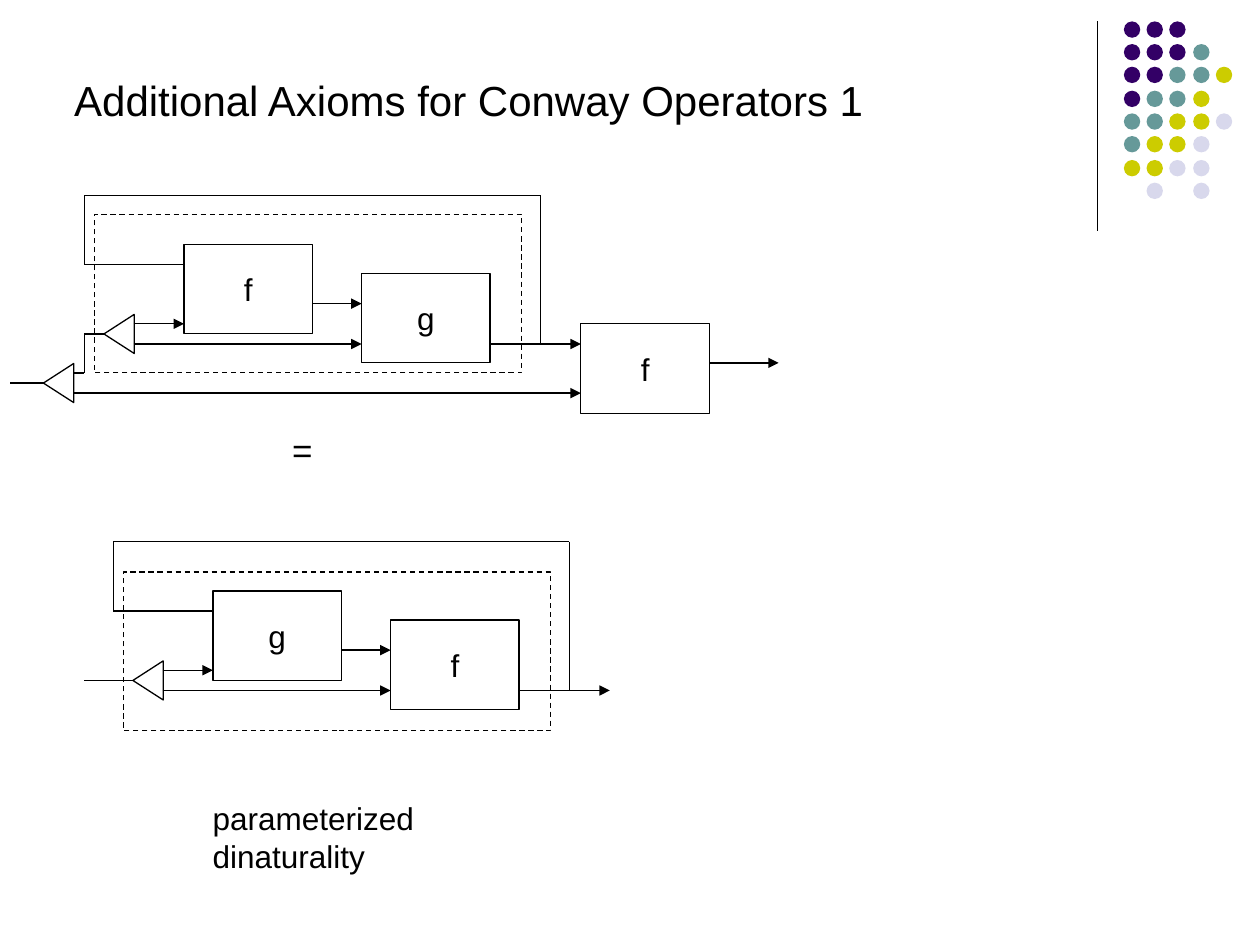
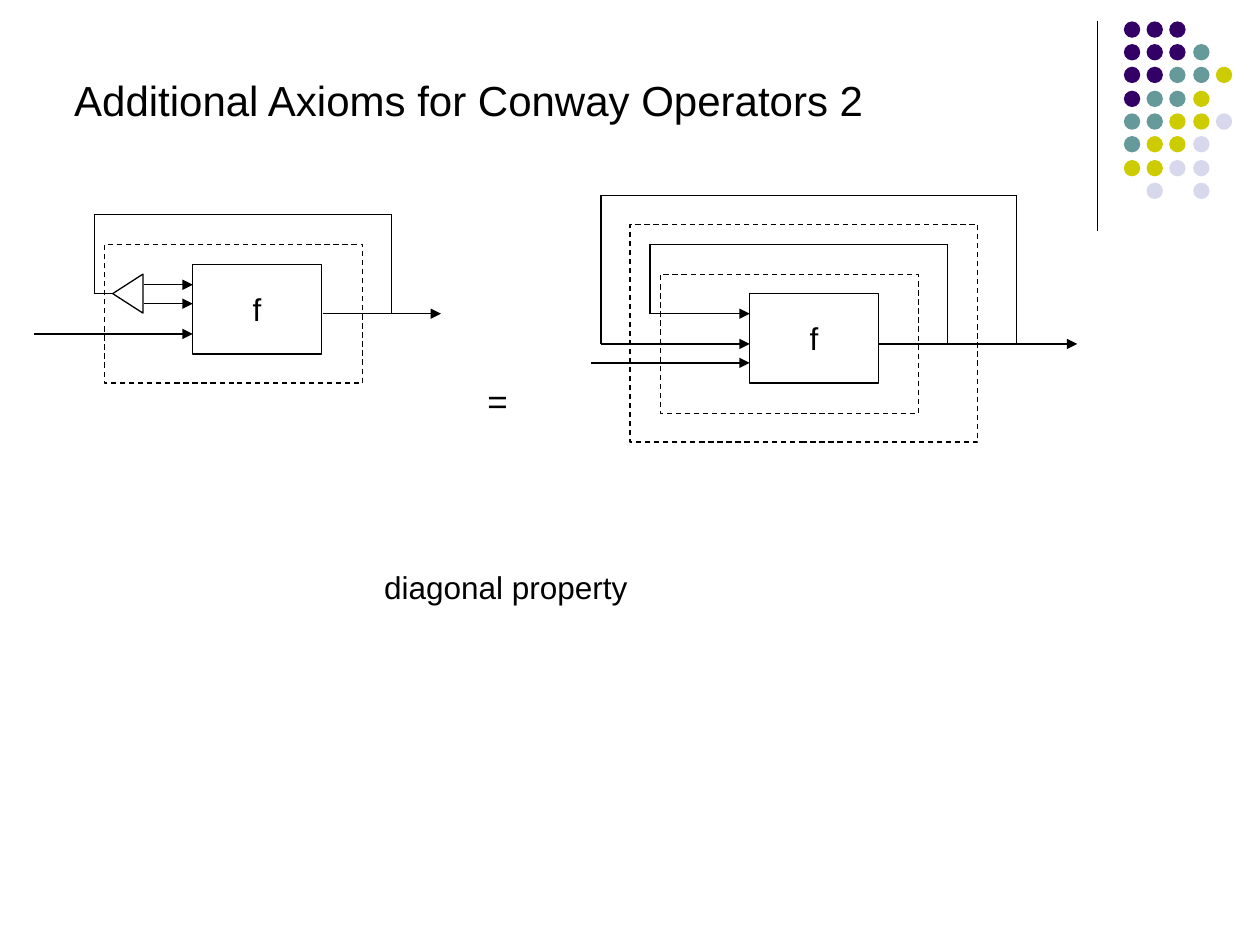
from itertools import pairwise

from lxml.etree import SubElement
from pptx import Presentation
from pptx.dml.color import RGBColor
from pptx.enum.dml import MSO_LINE
from pptx.enum.shapes import MSO_CONNECTOR, MSO_SHAPE
from pptx.enum.text import MSO_ANCHOR, MSO_AUTO_SIZE, PP_ALIGN
from pptx.oxml.ns import qn
from pptx.util import Emu, Pt

EMU_PER_PX = 9144
FONT = "Arial"
INK = RGBColor(0x00, 0x00, 0x00)
PURPLE = RGBColor(0x33, 0x00, 0x66)
TEAL = RGBColor(0x66, 0x99, 0x99)
OLIVE = RGBColor(0xCC, 0xCC, 0x00)
LILAC = RGBColor(0xD8, 0xD8, 0xEC)
DOT_COLOURS = {"P": PURPLE, "T": TEAL, "O": OLIVE, "L": LILAC}
DOT_ROWS = ("PPP", "PPPT", "PPTTO", "PTTO", "TTOOL", "TOOL", "OOLL", " L L")


class Sketch:
    """Holds the diagram style and the slide being drawn."""

    def __init__(self, deck):
        self.deck = deck
        self.page = None

    def lengths(self, *pixels):
        return [Emu(pixel * EMU_PER_PX) for pixel in pixels]

    def start(self, title):
        self.page = self.deck.slides.add_slide(self.deck.slide_layouts[6])
        self.wire((871, 17), (871, 183))
        for row, marks in enumerate(DOT_ROWS):
            for column, mark in enumerate(marks):
                if mark in DOT_COLOURS:
                    self.dot(892 + 55 * column // 3, 17 + 55 * row // 3, DOT_COLOURS[mark])
        self.text(title, 49, 54, 648, 50, 24)

    def shape(self, kind, left, top, width, height):
        shape = self.page.shapes.add_shape(kind, *self.lengths(left, top, width, height))
        shape.shadow.inherit = False
        shape.fill.background()
        self.ink(shape.line)
        return shape

    def ink(self, line):
        line.color.rgb = INK
        line.width = Pt(0.75)

    def dot(self, left, top, colour):
        dot = self.shape(MSO_SHAPE.OVAL, left, top, 13, 13)
        dot.fill.solid()
        dot.fill.fore_color.rgb = colour
        dot.line.fill.background()

    def add_words(self, frame, words, size):
        frame.word_wrap = False
        para = frame.paragraphs[0]
        span = para.add_run()
        span.text = words
        span.font.name = FONT
        span.font.size = Pt(size)
        span.font.color.rgb = INK
        return para

    def text(self, words, left, top, width, height, size=18):
        box = self.page.shapes.add_textbox(*self.lengths(left, top, width, height))
        box.text_frame.auto_size = MSO_AUTO_SIZE.SHAPE_TO_FIT_TEXT
        self.add_words(box.text_frame, words, size).alignment = PP_ALIGN.LEFT

    def operator(self, name, left, top):
        box = self.shape(MSO_SHAPE.RECTANGLE, left, top, 102, 71)
        box.text_frame.vertical_anchor = MSO_ANCHOR.MIDDLE
        self.add_words(box.text_frame, name, 18).alignment = PP_ALIGN.CENTER

    def scope(self, left, top, width, height):
        scope = self.shape(MSO_SHAPE.RECTANGLE, left, top, width, height)
        scope.line.dash_style = MSO_LINE.DASH

    def fork(self, tip_x, tip_y):
        fork = self.shape(MSO_SHAPE.FLOWCHART_EXTRACT, tip_x - 4, tip_y - 12, 31, 24)
        fork.rotation = 270

    def wire(self, *points, arrow=False):
        for start, end in pairwise(points):
            line = self.page.shapes.add_connector(
                MSO_CONNECTOR.STRAIGHT, *self.lengths(*start, *end))
            self.ink(line.line)
            properties = line._element.spPr
            SubElement(properties, qn("a:effectLst"))
        if arrow:
            SubElement(properties.find(qn("a:ln")), qn("a:tailEnd"), type="triangle")

    def arrow(self, left, right, height):
        self.wire((left, height), (right, height), arrow=True)

    def feedback(self, right, bottom, top, left, entry, end, arrow=False):
        self.wire((right, bottom), (right, top), (left, top),
                  (left, entry), (end, entry), arrow=arrow)


def draw_composite(sketch, left, top, first, second):
    """Draw two chained operators inside a scope with feedback."""
    sketch.operator(first, left + 79, top + 39)
    sketch.operator(second, left + 220, top + 62)
    sketch.fork(left + 16, top + 110)
    sketch.arrow(left + 39, left + 79, top + 102)
    sketch.arrow(left + 39, left + 220, top + 118)
    sketch.arrow(left + 181, left + 220, top + 86)
    sketch.arrow(left + 323, left + 394, top + 118)
    sketch.feedback(left + 362, top + 118, top, left, top + 55, left + 79)


def draw_dinaturality(sketch):
    """Draw the parameterized dinaturality axiom."""
    sketch.start("Additional Axioms for Conway Operators 1")
    draw_composite(sketch, 67, 155, "f", "g")
    sketch.scope(75, 170, 339, 126)
    sketch.operator("f", 461, 257)
    sketch.fork(35, 304)
    sketch.wire((8, 304), (35, 304))
    sketch.wire((59, 296), (67, 296), (67, 265), (83, 265))
    sketch.arrow(59, 461, 312)
    sketch.arrow(563, 618, 288)
    sketch.text("=", 222, 335, 36, 44, 20)
    draw_composite(sketch, 90, 430, "g", "f")
    sketch.scope(98, 454, 339, 126)
    sketch.wire((67, 540), (106, 540))
    sketch.text("parameterized dinaturality", 159, 629, 307, 40)


def draw_diagonal(sketch):
    """Draw the diagonal property axiom."""
    sketch.start("Additional Axioms for Conway Operators 2")
    sketch.operator("f", 153, 210)
    sketch.scope(83, 194, 205, 110)
    sketch.fork(90, 233)
    for height in (226, 241):
        sketch.arrow(114, 153, height)
    sketch.arrow(27, 153, 265)
    sketch.arrow(256, 350, 249)
    sketch.feedback(311, 249, 170, 75, 233, 90)
    sketch.text("=", 377, 296, 36, 44, 20)
    sketch.operator("f", 595, 233)
    sketch.scope(524, 218, 205, 110)
    sketch.scope(500, 178, 276, 173)
    sketch.arrow(469, 595, 288)
    sketch.arrow(697, 855, 273)
    sketch.feedback(752, 273, 194, 516, 249, 595, arrow=True)
    sketch.feedback(807, 273, 155, 477, 273, 595, arrow=True)
    sketch.text("diagonal property", 295, 446, 213, 40)


def main():
    """Build the deck and save it."""
    deck = Presentation()
    sketch = Sketch(deck)
    deck.slide_width, deck.slide_height = sketch.lengths(1000, 750)
    draw_dinaturality(sketch)
    draw_diagonal(sketch)
    deck.save("out.pptx")


if __name__ == "__main__":
    main()
